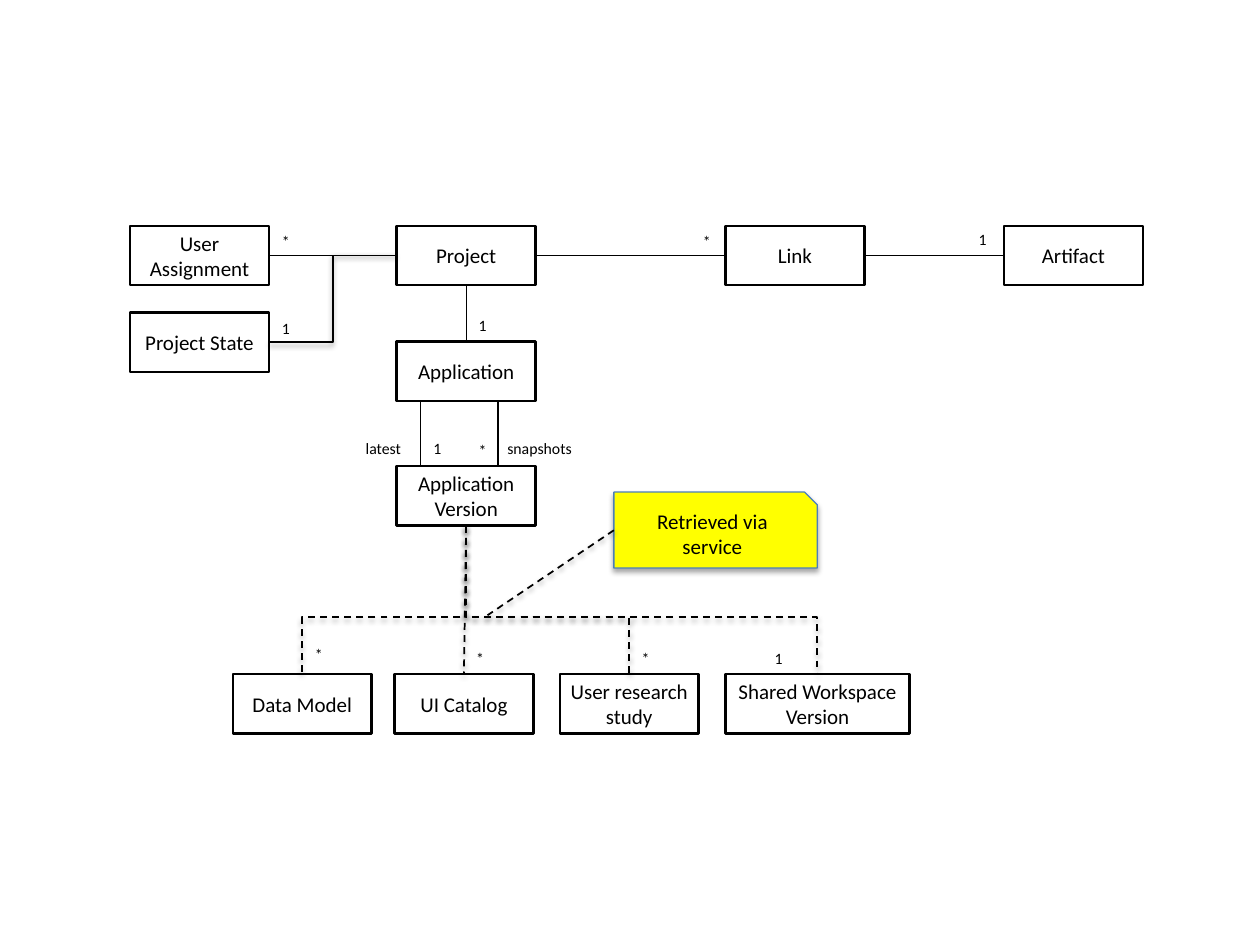
import pptx
import pptx.util
import pptx.dml.color
import pptx.enum.dml
import pptx.enum.shapes
import pptx.enum.text
import pptx.oxml
import pptx.oxml.ns
from lxml import etree

Pt = pptx.util.Pt
RGBColor = pptx.dml.color.RGBColor
SHAPE = pptx.enum.shapes.MSO_SHAPE
CONNECTOR = pptx.enum.shapes.MSO_CONNECTOR
ALIGN = pptx.enum.text.PP_ALIGN
DASH = pptx.enum.dml.MSO_LINE.DASH
qn = pptx.oxml.ns.qn

BLACK = RGBColor(0, 0, 0)
WHITE = RGBColor(255, 255, 255)
YELLOW = RGBColor(255, 255, 0)
BLUE = RGBColor(0x4B, 0x7E, 0xBC)

BOX_W, BOX_H = 79.4, 34
COL_LEFT, COL_PROJECT, COL_LINK, COL_ARTIFACT = 74.3, 226.7, 414.5, 573.7
ROW_TOP, ROW_STATE, ROW_APP, ROW_VERSION, ROW_PARTS = 129, 178.5, 195.2, 266.4, 385.2
AXIS = COL_PROJECT + BOX_W / 2
TOP_MID = ROW_TOP + BOX_H / 2
VERSION_BOTTOM = ROW_VERSION + BOX_H


class Diagram:
    font = "Calibri"
    box_format = dict.fromkeys(
        ("margin_left", "margin_top", "margin_right", "margin_bottom"), Pt(3))

    def __init__(self, slide):
        self.shapes = slide.shapes

    def set_text(self, sp, text, size, align, **frame):
        tf = sp.text_frame
        frame = {"word_wrap": True, **frame}
        for name, value in frame.items():
            setattr(tf, name, value)
        p = tf.paragraphs[0]
        p.alignment = align
        r = p.add_run()
        r.text = text
        for name, value in {"name": self.font, "size": Pt(size)}.items():
            setattr(r.font, name, value)
        r.font.color.rgb = BLACK

    def add_shadow(self, effects, alpha, dist):
        shadow = etree.SubElement(effects, qn("a:outerShdw"), blurRad=str(Pt(3.1)),
                                  dist=str(Pt(dist)), dir="5400000", rotWithShape="0")
        color = etree.SubElement(shadow, qn("a:srgbClr"), val="000000")
        etree.SubElement(color, qn("a:alpha"), val=str(alpha * 1000))

    def shape(self, kind, x, y, w, h, fill, line, weight):
        sp = self.shapes.add_shape(kind, Pt(x), Pt(y), Pt(w), Pt(h))
        sp.shadow.inherit = False
        sp.fill.solid()
        sp.fill.fore_color.rgb = fill
        sp.line.color.rgb = line
        sp.line.width = Pt(weight)
        return sp

    def box(self, text, x, y, w=BOX_W):
        sp = self.shape(SHAPE.RECTANGLE, x, y, w, BOX_H, WHITE, BLACK, 1.4)
        self.set_text(sp, text, 12, ALIGN.CENTER, **self.box_format)

    def note(self, text, x, y, w, h):
        sp = self.shape(SHAPE.SNIP_1_RECTANGLE, x, y, w, h, YELLOW, BLUE, 0.75)
        self.add_shadow(sp._element.spPr.find(qn("a:effectLst")), 35, 1.8)
        self.set_text(sp, text, 12, ALIGN.CENTER)

    def label(self, text, x, y, w=18, align=ALIGN.RIGHT):
        sp = self.shapes.add_textbox(Pt(x), Pt(y), Pt(w), Pt(18))
        self.set_text(sp, text, 9, align)

    def line(self, x1, y1, x2, y2, kind=CONNECTOR.STRAIGHT, weight=0.7,
             dashed=False, shadow=False):
        cx = self.shapes.add_connector(kind, Pt(x1), Pt(y1), Pt(x2), Pt(y2))
        cx.line.color.rgb = BLACK
        cx.line.width = Pt(weight)
        if dashed:
            cx.line.dash_style = DASH
        effects = etree.SubElement(cx._element.spPr, qn("a:effectLst"))
        if shadow:
            self.add_shadow(effects, 38, 1.6)
        return cx

    def branch(self, x1, y1, x2, y2, bend=0.616):
        """Dashed elbow that leaves downwards: a turned horizontal elbow."""
        w, h = y2 - y1, abs(x2 - x1)
        x, y = (x1 + x2 - w) / 2, (y1 + y2 - h) / 2
        cx = self.line(x, y, x + w, y + h, CONNECTOR.ELBOW, 1, True, True)
        spPr = cx._element.spPr
        spPr.xfrm.set("rot", str((270 if x2 > x1 else 90) * 60000))
        if x2 > x1:
            spPr.xfrm.set("flipH", "1")
        geom = spPr.find(qn("a:prstGeom"))
        guides = geom.find(qn("a:avLst"))
        etree.SubElement(guides, qn("a:gd"), name="adj1",
                         fmla=f"val {round(bend * 100000)}")


def main():
    prs = pptx.Presentation()
    prs.slide_width, prs.slide_height = Pt(720), Pt(540)
    d = Diagram(prs.slides.add_slide(prs.slide_layouts[6]))

    for text, x, y in (
        ("User Assignment", COL_LEFT, ROW_TOP),
        ("Project State", COL_LEFT, ROW_STATE),
        ("Project", COL_PROJECT, ROW_TOP),
        ("Link", COL_LINK, ROW_TOP),
        ("Artifact", COL_ARTIFACT, ROW_TOP),
        ("Application", COL_PROJECT, ROW_APP),
        ("Application Version", COL_PROJECT, ROW_VERSION),
        ("Data Model", 133, ROW_PARTS),
        ("UI Catalog", 225.4, ROW_PARTS),
        ("User research study", 319.9, ROW_PARTS),
    ):
        d.box(text, x, y)
    d.box("Shared Workspace Version", COL_LINK, ROW_PARTS, 105.3)

    top_row = (COL_LEFT, COL_PROJECT, COL_LINK, COL_ARTIFACT)
    for left, right in zip(top_row, top_row[1:]):
        d.line(left + BOX_W, TOP_MID, right, TOP_MID)
    d.line(AXIS, ROW_TOP + BOX_H, AXIS, ROW_APP)
    for x in (240.5, 284.6):
        d.line(x, ROW_APP + BOX_H, x, ROW_VERSION)
    d.line(COL_PROJECT, TOP_MID, COL_LEFT + BOX_W, ROW_STATE + BOX_H / 2,
           CONNECTOR.ELBOW, 1, shadow=True)

    for x in (172.7, 359.6, 467.1):
        d.branch(AXIS, VERSION_BOTTOM, x, ROW_PARTS)
    d.line(AXIS, VERSION_BOTTOM, 265.1, ROW_PARTS, weight=1, dashed=True, shadow=True)

    for text, x, y in (
        ("*", 154, 129), ("1", 154, 178.5), ("*", 394.6, 129), ("1", 552.2, 128),
        ("1", 266.4, 177), ("1", 240.5, 247), ("*", 266.4, 248.4),
        ("*", 172.8, 365), ("*", 265, 367.2), ("*", 359.6, 367.2), ("1", 435.6, 367.2),
    ):
        d.label(text, x, y)
    d.label("latest", 200, 247, 38, ALIGN.CENTER)
    d.label("snapshots", 278.8, 247, 59, ALIGN.CENTER)

    d.note("Retrieved via service", 350.8, 281.2, 116.2, 43.4)
    d.line(350.8, 303, 278.6, 351.6, weight=1, dashed=True, shadow=True)

    prs.save("out.pptx")


if __name__ == "__main__":
    main()
